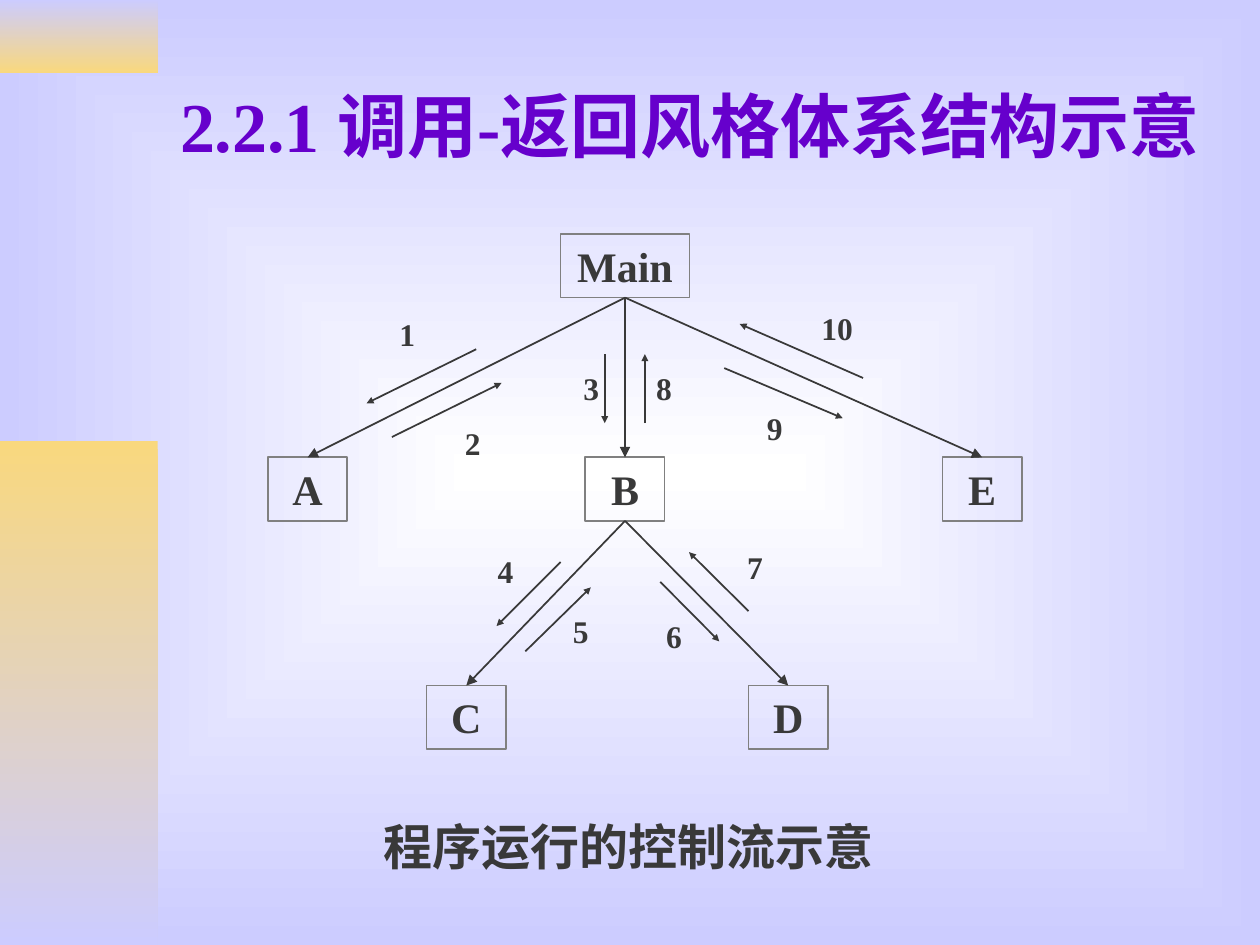
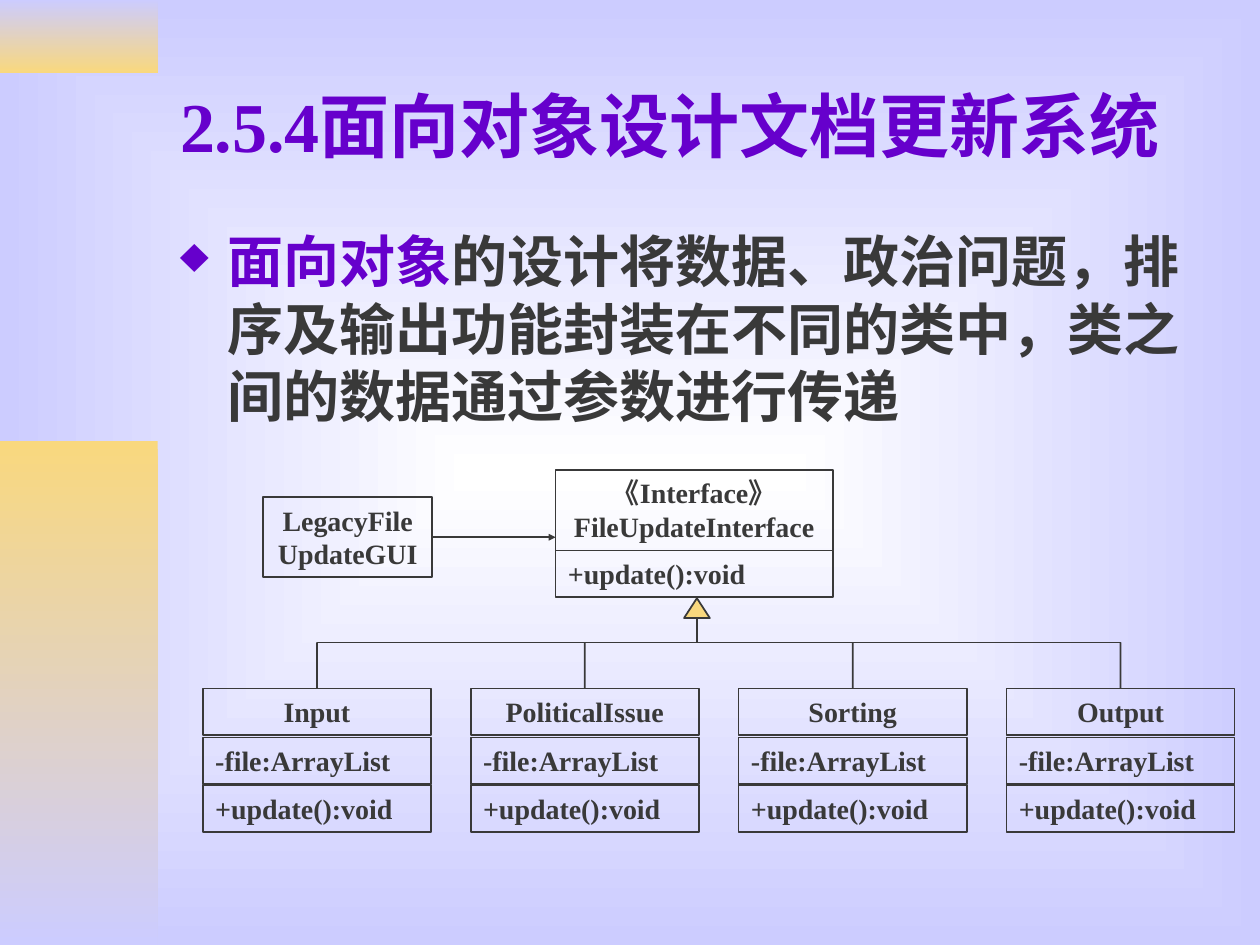
from lxml.etree import SubElement
from pptx import Presentation
from pptx.dml.color import RGBColor
from pptx.enum.shapes import MSO_CONNECTOR as Connector, MSO_SHAPE as Shape
from pptx.enum.text import MSO_ANCHOR as Anchor, PP_ALIGN as Align
from pptx.oxml.ns import qn
from pptx.util import Cm, Pt

FONT = "Times New Roman"
INK = "393939"
PURPLE = "6600CC"
GOLD = "F9D87E"
LAVENDER = "CCCCFF"
GRAY = "808080"
color = RGBColor.from_string


def add_text(page, left, top, width, height, lines, size, border=None,
             align=Align.LEFT, hue=INK, anchor=Anchor.TOP):
    place = Cm(left), Cm(top), Cm(width), Cm(height)
    if border:
        box = page.shapes.add_shape(Shape.RECTANGLE, *place)
        box.shadow.inherit = False
        box.fill.background()
        box.line.color.rgb = color(border)
        box.line.width = Pt(1)
    else:
        box = page.shapes.add_textbox(*place)
    frame = box.text_frame
    frame.word_wrap = True
    frame.vertical_anchor = anchor
    para = frame.paragraphs[0]
    para.alignment = align
    for index, line in enumerate(lines):
        if index:
            para.add_line_break()
        span = para.add_run()
        span.text = line
        span.font.name = FONT
        span.font.size = Pt(size)
        span.font.bold = True
        span.font.color.rgb = color(hue)
    return box


def add_line(page, start, end, arrow=None):
    link = page.shapes.add_connector(
        Connector.STRAIGHT, *[Cm(value) for value in (*start, *end)])
    link.line.color.rgb = color(INK)
    link.line.width = Pt(1)
    if arrow:
        SubElement(link.get_or_add_ln(), qn("a:tailEnd"),
                   type="triangle", w=arrow, len=arrow)
    SubElement(link._element.spPr, qn("a:effectLst"))
    return link


deck = Presentation()
deck.slide_width = Cm(25.4)
deck.slide_height = Cm(19.05)

master = deck.slide_master
backdrop = master.background.fill
backdrop.gradient()
for stop, hue in zip(backdrop.gradient_stops, ("FFFFFF", LAVENDER)):
    stop.color.rgb = color(hue)
gradient = next(master.element.iter(qn("a:gradFill")))
gradient.remove(gradient.find(qn("a:lin")))
center = SubElement(gradient, qn("a:path"), path="rect")
SubElement(center, qn("a:fillToRect"), l="50000", t="50000", r="50000", b="50000")

bands = [(0, 1.47, LAVENDER, GOLD), (8.89, 10.16, GOLD, LAVENDER)]
titles = ["2.2.1 调用-返回风格体系结构示意", "2.5.4面向对象设计文档更新系统"]
pages = []
for title in titles:
    page = deck.slides.add_slide(deck.slide_layouts[6])
    for top, height, first, last in bands:
        band = page.shapes.add_shape(Shape.RECTANGLE, 0, Cm(top), Cm(3.18), Cm(height))
        band.shadow.inherit = False
        band.line.fill.background()
        band.fill.gradient()
        band.fill.gradient_angle = 270
        for stop, hue in zip(band.fill.gradient_stops, (first, last)):
            stop.color.rgb = color(hue)
    add_text(page, 3.38, 0.84, 21.59, 3.35, [title], 40, hue=PURPLE, anchor=Anchor.MIDDLE)
    pages.append(page)
call_page, class_page = pages

modules = {
    "Main": (11.3, 4.72, 2.6),
    "A": (5.4, 9.22, 1.6),
    "B": (11.8, 9.22, 1.6),
    "C": (8.6, 13.82, 1.6),
    "D": (15.09, 13.82, 1.6),
    "E": (19, 9.22, 1.6),
}
boxes = {}
for name, (left, top, width) in modules.items():
    boxes[name] = add_text(call_page, left, top, width, 1.28, [name], 24,
                           GRAY, Align.CENTER)
for caller, callee in ("Main", "A"), ("Main", "B"), ("Main", "E"), ("B", "C"), ("B", "D"):
    link = add_line(call_page, (0, 0), (0, 0), "med")
    link.begin_connect(boxes[caller], 2)
    link.end_connect(boxes[callee], 0)

steps = [
    ((9.6, 7.04), (7.39, 8.13), (7.8, 6.22)),
    ((7.9, 8.81), (10.11, 7.72), (9.12, 8.43)),
    ((12.19, 7.14), (12.19, 8.53), (11.51, 7.32)),
    ((11.3, 11.33), (10.01, 12.62), (9.78, 11)),
    ((10.59, 13.13), (11.91, 11.84), (11.3, 12.22)),
    ((13.31, 11.73), (14.5, 12.93), (13.18, 12.32)),
    ((15.09, 12.32), (13.89, 11.13), (14.81, 10.92)),
    ((13, 8.53), (13, 7.14), (12.98, 7.32)),
    ((14.6, 7.42), (16.99, 8.43), (15.21, 8.13)),
    ((17.4, 7.62), (14.91, 6.53), (16.31, 6.1)),
]
for number, (start, end, label) in enumerate(steps, 1):
    add_line(call_page, start, end, "sm")
    add_text(call_page, *label, 1.2, 1.02, [str(number)], 18)
add_text(call_page, 7.49, 16.33, 12.29, 1.45, ["程序运行的控制流示意"], 28)

body = add_text(class_page, 3.38, 4.45, 21.59, 4.47, ["面向对象"], 32, hue=PURPLE)
para = body.text_frame.paragraphs[0]
bullet = para._p.get_or_add_pPr()
bullet.set("marL", str(Cm(0.95)))
bullet.set("indent", str(Cm(-0.95)))
SubElement(SubElement(bullet, qn("a:buClr")), qn("a:srgbClr"), val=PURPLE)
SubElement(bullet, qn("a:buSzPct"), val="90000")
SubElement(bullet, qn("a:buChar"), char="♦")
span = para.add_run()
span.text = "的设计将数据、政治问题，排序及输出功能封装在不同的类中，类之间的数据通过参数进行传递"
span.font.name = FONT
span.font.size = Pt(32)
span.font.bold = True
span.font.color.rgb = color(INK)

window = add_text(class_page, 5.31, 10.02, 3.4, 1.62, ["LegacyFile", "UpdateGUI"], 16,
                  INK, Align.CENTER)
add_text(class_page, 11.2, 9.47, 5.59, 1.63, ["《Interface》", "FileUpdateInterface"], 16,
         INK, Align.CENTER)
add_text(class_page, 11.2, 11.1, 5.59, 0.94, ["+update():void"], 16, INK)
add_line(class_page, (8.71, 10.83), (11.2, 10.83), "sm").begin_connect(window, 3)

triangle = class_page.shapes.add_shape(Shape.ISOSCELES_TRIANGLE,
                                       Cm(13.79), Cm(12.06), Cm(0.52), Cm(0.4))
triangle.shadow.inherit = False
triangle.fill.solid()
triangle.fill.fore_color.rgb = color(GOLD)
triangle.line.color.rgb = color(INK)
triangle.line.width = Pt(1)

BAR = 12.95
PITCH = 5.4
WIDTH = 4.6
FIRST = 4.09
middle = FIRST + WIDTH / 2
add_line(class_page, (14.05, 12.46), (14.05, BAR))
add_line(class_page, (middle, BAR), (middle + 3 * PITCH, BAR))
for column, name in enumerate(("Input", "PoliticalIssue", "Sorting", "Output")):
    left = FIRST + column * PITCH
    heading = add_text(class_page, left, 13.88, WIDTH, 0.94, [name], 16, INK, Align.CENTER)
    add_text(class_page, left, 14.87, WIDTH, 0.94, ["-file:ArrayList"], 16, INK)
    add_text(class_page, left, 15.83, WIDTH, 0.94, ["+update():void"], 16, INK)
    branch = add_line(class_page, (left + WIDTH / 2, BAR), (left + WIDTH / 2, 13.88))
    branch.end_connect(heading, 0)

deck.save("out.pptx")
